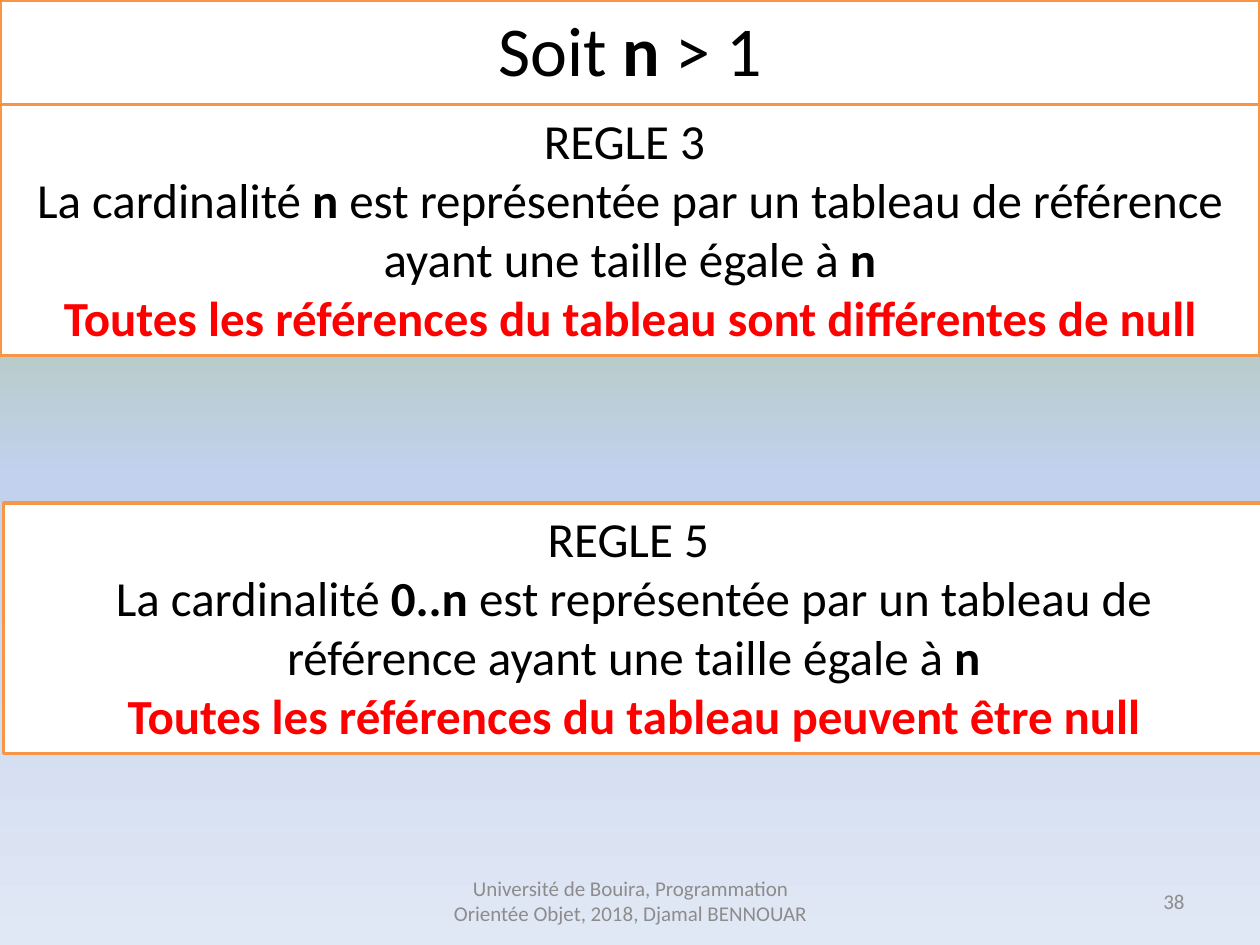
from copy import deepcopy
from dataclasses import dataclass

from pptx import Presentation
from pptx.dml.color import RGBColor as RGB
from pptx.enum.shapes import MSO_SHAPE as SHAPE
from pptx.enum.text import MSO_ANCHOR as ANCHOR, MSO_AUTO_SIZE as FIT, PP_ALIGN as ALIGN
from pptx.util import Inches, Pt


@dataclass(frozen=True)
class Theme:
    """Colours, font and type sizes of the slide."""
    font: str = "Calibri"
    ink: str = "000000"
    alert: str = "FF0000"
    muted: str = "8C8C8C"
    panel: str = "FFFFFF"
    border: str = "F79646"
    sky: tuple = ((0, "9BBB59"), (0.5, "C2D1ED"), (1, "E1E8F5"))
    title: int = 40
    body: int = 28
    small: int = 12


T = Theme()


def write(p, text, size=T.body, color=T.ink, bold=False, align=ALIGN.CENTER):
    """Add a formatted run to a paragraph."""
    p.alignment = align
    r = p.add_run()
    r.text = text
    r.font.name, r.font.size, r.font.bold = T.font, Pt(size), bold
    r.font.color.rgb = RGB.from_string(color)


def place(sp, box):
    """Move a shape to a box given in inches."""
    sp.left, sp.top, sp.width, sp.height = map(Inches, box)


def frame(sp):
    """Give a shape the white panel look and return its text frame."""
    sp.fill.solid()
    sp.fill.fore_color.rgb = RGB.from_string(T.panel)
    sp.line.color.rgb = RGB.from_string(T.border)
    sp.line.width = Pt(2)
    tf = sp.text_frame
    tf.word_wrap, tf.auto_size = True, FIT.SHAPE_TO_FIT_TEXT
    tf.vertical_anchor = ANCHOR.TOP
    return tf


def add_background(s):
    """Fill the slide with a vertical gradient of three colours."""
    fill = s.background.fill
    fill.gradient()
    fill.gradient_angle = 270
    first = s.element.xpath(".//p:bgPr//a:gs")[0]
    first.addnext(deepcopy(first))
    for stop, (position, color) in zip(fill.gradient_stops, T.sky):
        stop.position = position
        stop.color.rgb = RGB.from_string(color)


def add_title(s, box):
    """Set the framed title."""
    sp = s.shapes.title
    place(sp, box)
    p = frame(sp).paragraphs[0]
    for text, bold in (("Soit ", False), ("n", True), (" > 1", False)):
        write(p, text, size=T.title, bold=bold)


def add_rule(s, box, heading, cardinality, conclusion):
    """Add a rule panel: heading, statement and red conclusion."""
    sp = s.shapes.add_shape(SHAPE.RECTANGLE, *map(Inches, box))
    sp.shadow.inherit = False
    tf = frame(sp)
    write(tf.paragraphs[0], heading)
    p = tf.add_paragraph()
    write(p, "La cardinalité ")
    write(p, cardinality, bold=True)
    write(p, "est représentée par un tableau de référence ayant une taille égale à ")
    write(p, "n", bold=True)
    write(tf.add_paragraph(), conclusion, color=T.alert, bold=True)


def add_footer(s, box, text, align):
    """Add a small grey footer text."""
    tf = s.shapes.add_textbox(*map(Inches, box)).text_frame
    tf.word_wrap, tf.vertical_anchor = True, ANCHOR.MIDDLE
    write(tf.paragraphs[0], text, size=T.small, color=T.muted, align=align)


def main():
    """Build and save the slide."""
    prs = Presentation()
    prs.slide_width, prs.slide_height = Inches(10), Inches(7.5)
    s = prs.slides.add_slide(prs.slide_layouts[5])
    add_background(s)
    add_title(s, (0, 0, 10, 0.77))
    add_rule(s, (0, 0.83, 10, 1.99), "REGLE 3 ", "n ",
             "Toutes les références du tableau sont différentes de null")
    add_rule(s, (0.03, 3.99, 10, 1.99), "REGLE 5 ", "0..n ",
             "Toutes les références du tableau peuvent être null")
    add_footer(s, (3.42, 6.95, 3.17, 0.4),
               "Université de Bouira, Programmation Orientée Objet, 2018, Djamal BENNOUAR",
               ALIGN.CENTER)
    add_footer(s, (7.17, 6.95, 2.33, 0.4), "38", ALIGN.RIGHT)
    prs.save("out.pptx")


if __name__ == "__main__":
    main()
